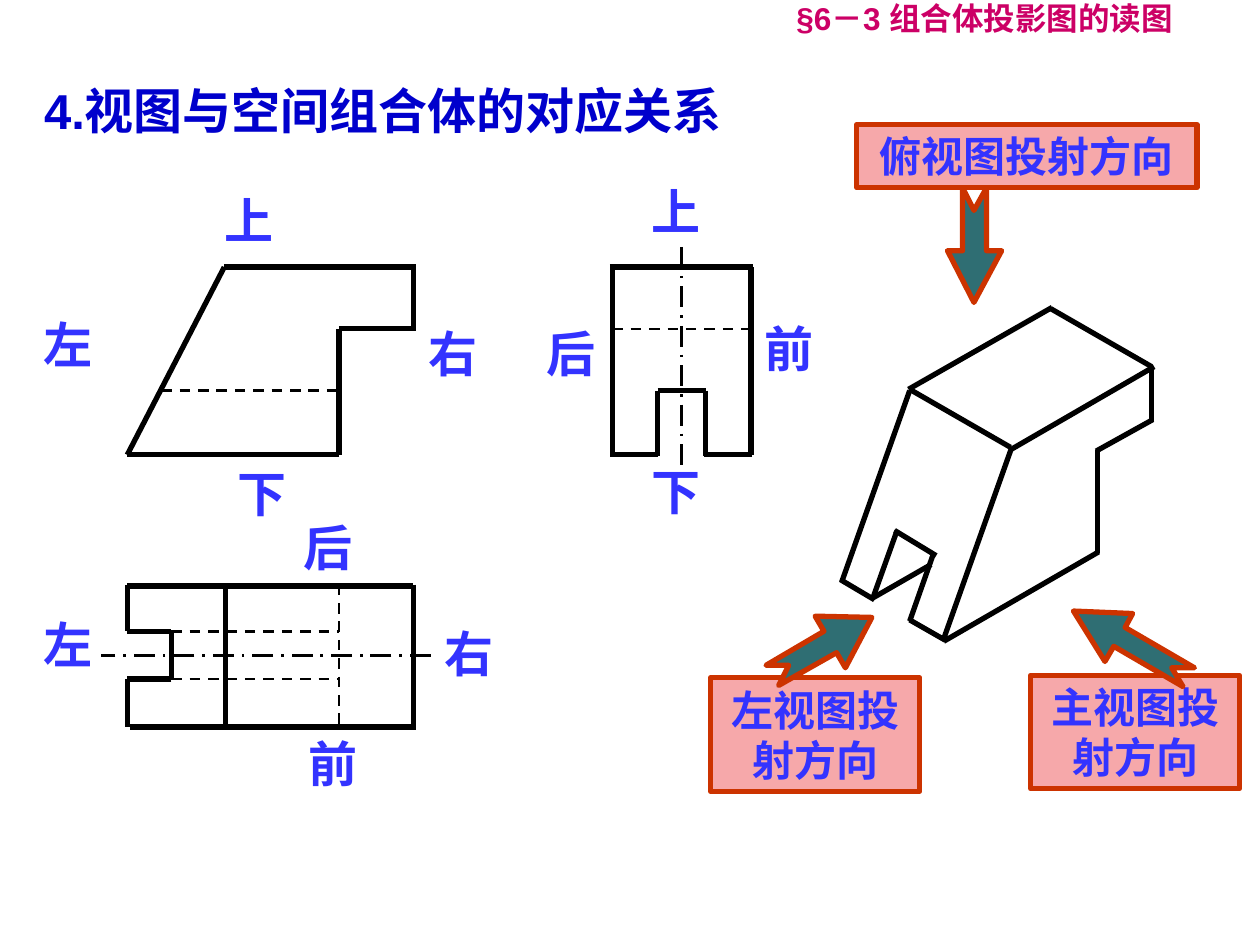
from lxml import etree
from pptx import Presentation
from pptx.dml.color import RGBColor
from pptx.enum.dml import MSO_LINE
from pptx.enum.shapes import MSO_CONNECTOR, MSO_SHAPE
from pptx.enum.text import MSO_ANCHOR, PP_ALIGN
from pptx.oxml.ns import qn
from pptx.util import Inches, Pt

RECTANGLE = MSO_SHAPE.RECTANGLE
STRAIGHT = MSO_CONNECTOR.STRAIGHT
LEFT, CENTER = PP_ALIGN.LEFT, PP_ALIGN.CENTER
TOP, MIDDLE = MSO_ANCHOR.TOP, MSO_ANCHOR.MIDDLE

BLACK = RGBColor(0x00, 0x00, 0x00)
NAVY = RGBColor(0x00, 0x00, 0xCC)
BLUE = RGBColor(0x33, 0x33, 0xFF)
MAGENTA = RGBColor(0xCC, 0x00, 0x66)
PINK = RGBColor(0xF6, 0xA8, 0xAA)
RUST = RGBColor(0xCC, 0x33, 0x00)
TEAL = RGBColor(0x2F, 0x6E, 0x73)

HEADING = ("4.视图与空间组合体的对应关系", (0.25, 0.59, 6.3, 0.57))
CHAPTER = ("§6－3 组合体投影图的读图", (5.63, -0.09, 4.37, 0.46))

LINE_STYLES = {
    "visible": (3, None),
    "hidden": (1.5, MSO_LINE.DASH),
    "axis": (1.5, MSO_LINE.LONG_DASH_DOT),
}

FRONT_VIEW = {
    "visible": [
        (1.01, 3.61, 1.78, 2.12), (1.01, 3.61, 2.69, 3.61),
        (1.78, 2.12, 3.3, 2.12), (2.69, 2.61, 3.3, 2.61),
        (2.69, 2.61, 2.69, 3.61), (3.28, 2.12, 3.28, 2.61),
    ],
    "hidden": [(1.28, 3.1, 2.69, 3.1)],
}
LEFT_VIEW = {
    "visible": [
        (5.22, 3.1, 5.6, 3.1), (5.22, 3.1, 5.22, 3.62),
        (5.6, 3.1, 5.6, 3.62), (5.22, 3.61, 4.84, 3.61),
        (5.97, 3.61, 5.59, 3.61), (4.84, 2.12, 5.98, 2.12),
        (4.86, 2.12, 4.86, 3.61), (5.96, 2.12, 5.96, 3.61),
    ],
    "hidden": [(4.86, 2.61, 5.96, 2.61)],
    "axis": [(5.41, 1.96, 5.41, 3.69)],
}
TOP_VIEW = {
    "visible": [
        (1.36, 5.01, 1.36, 5.39), (1.36, 5.01, 1.01, 5.01),
        (1.36, 5.39, 1.01, 5.39), (1.01, 5.39, 1.01, 5.77),
        (1.01, 4.64, 1.01, 5.01), (1.01, 4.65, 3.28, 4.65),
        (1.03, 5.77, 3.3, 5.77), (3.28, 4.64, 3.28, 5.77),
        (1.79, 4.64, 1.79, 5.77),
    ],
    "hidden": [
        (2.69, 4.64, 2.69, 5.77), (1.36, 5.01, 2.69, 5.01),
        (1.36, 5.39, 2.69, 5.39),
    ],
    "axis": [(3.42, 5.2, 0.8, 5.2)],
}
SOLID_BODY = {
    "visible": [
        (8.35, 2.44, 7.21, 3.09), (8.72, 4.38, 7.49, 5.09),
        (8.34, 2.45, 9.14, 2.91), (9.16, 2.91, 8.02, 3.57),
        (9.14, 2.92, 9.14, 3.34), (9.15, 3.33, 8.7, 3.58),
        (8.71, 4.39, 8.71, 3.57), (7.22, 3.09, 8.02, 3.55),
        (8.03, 3.55, 7.49, 5.07), (7.22, 3.1, 6.68, 4.62),
        (6.67, 4.6, 6.94, 4.76), (7.12, 4.21, 6.93, 4.74),
        (7.41, 4.39, 7.22, 4.93), (7.22, 4.92, 7.5, 5.08),
        (7.1, 4.21, 7.43, 4.41), (7.39, 4.48, 6.92, 4.75),
    ],
}
DRAWINGS = [FRONT_VIEW, LEFT_VIEW, TOP_VIEW, SOLID_BODY]

DIRECTION_BOXES = [
    ("左视图投射方向", (5.64, 5.38, 1.66, 0.9)),
    ("主视图投射方向", (8.18, 5.36, 1.66, 0.9)),
    ("俯视图投射方向", (6.8, 0.99, 2.7, 0.5)),
]
DIRECTION_ARROWS = [
    [(6.08, 5.28), (6.54, 5.01), (6.47, 4.89), (6.92, 4.9),
     (6.71, 5.3), (6.64, 5.18), (6.18, 5.44), (6.26, 5.28)],
    [(9.39, 5.45), (8.84, 5.13), (8.77, 5.25), (8.52, 4.85),
     (8.99, 4.87), (8.93, 4.98), (9.48, 5.3), (9.3, 5.3)],
    [(7.83, 1.49), (7.83, 1.99), (7.95, 1.99), (7.73, 2.4),
     (7.52, 1.99), (7.64, 1.99), (7.64, 1.49), (7.73, 1.67)],
]

SIDE_SIZE = (0.68, 0.57)
SIDES = {
    "上": [(1.68, 1.46), (5.07, 1.39)],
    "下": [(5.07, 3.61), (1.79, 3.63)],
    "左": [(0.25, 2.45), (0.25, 4.83)],
    "右": [(3.3, 2.52), (3.43, 4.9)],
    "后": [(2.31, 4.06), (4.24, 2.52)],
    "前": [(5.97, 2.48), (2.35, 5.77)],
}


def inches(values):
    return [Inches(value) for value in values]


def write(shape, text, size, color, align=LEFT, anchor=TOP):
    frame = shape.text_frame
    frame.word_wrap = True
    frame.vertical_anchor = anchor
    frame.text = text
    paragraph = frame.paragraphs[0]
    paragraph.alignment = align
    font = paragraph.font
    font.name, font.size, font.bold = "Arial", Pt(size), True
    font.color.rgb = color


def paint(shape, fill):
    shape.shadow.inherit = False
    shape.fill.solid()
    shape.fill.fore_color.rgb = fill
    shape.line.color.rgb = RUST
    shape.line.width = Pt(3)


def draw(slide, drawing):
    group = slide.shapes.add_group_shape()
    for style, segments in drawing.items():
        width, dash = LINE_STYLES[style]
        for segment in segments:
            edge = group.shapes.add_connector(STRAIGHT, *inches(segment))
            edge.line.color.rgb = BLACK
            edge.line.width = Pt(width)
            if dash:
                edge.line.dash_style = dash
            etree.SubElement(edge._element.spPr, qn("a:effectLst"))


def main():
    deck = Presentation()
    deck.slide_width, deck.slide_height = Inches(10), Inches(7.5)
    slide = deck.slides.add_slide(deck.slide_layouts[5])

    text, place = HEADING
    heading = slide.shapes.title
    heading.left, heading.top, heading.width, heading.height = inches(place)
    write(heading, text, 28, NAVY)

    for drawing in DRAWINGS:
        draw(slide, drawing)

    for text, place in DIRECTION_BOXES:
        box = slide.shapes.add_shape(RECTANGLE, *inches(place))
        paint(box, PINK)
        write(box, text, 24, BLUE, CENTER)

    for start, *corners in DIRECTION_ARROWS:
        builder = slide.shapes.build_freeform(*inches(start), scale=1.0)
        builder.add_line_segments([inches(corner) for corner in corners])
        paint(builder.convert_to_shape(), TEAL)

    for side, corners in SIDES.items():
        for corner in corners:
            label = slide.shapes.add_textbox(*inches(corner + SIDE_SIZE))
            write(label, side, 28, BLUE)

    text, place = CHAPTER
    chapter = slide.shapes.add_textbox(*inches(place))
    write(chapter, text, 18, MAGENTA, CENTER, MIDDLE)

    deck.save("out.pptx")


if __name__ == "__main__":
    main()
